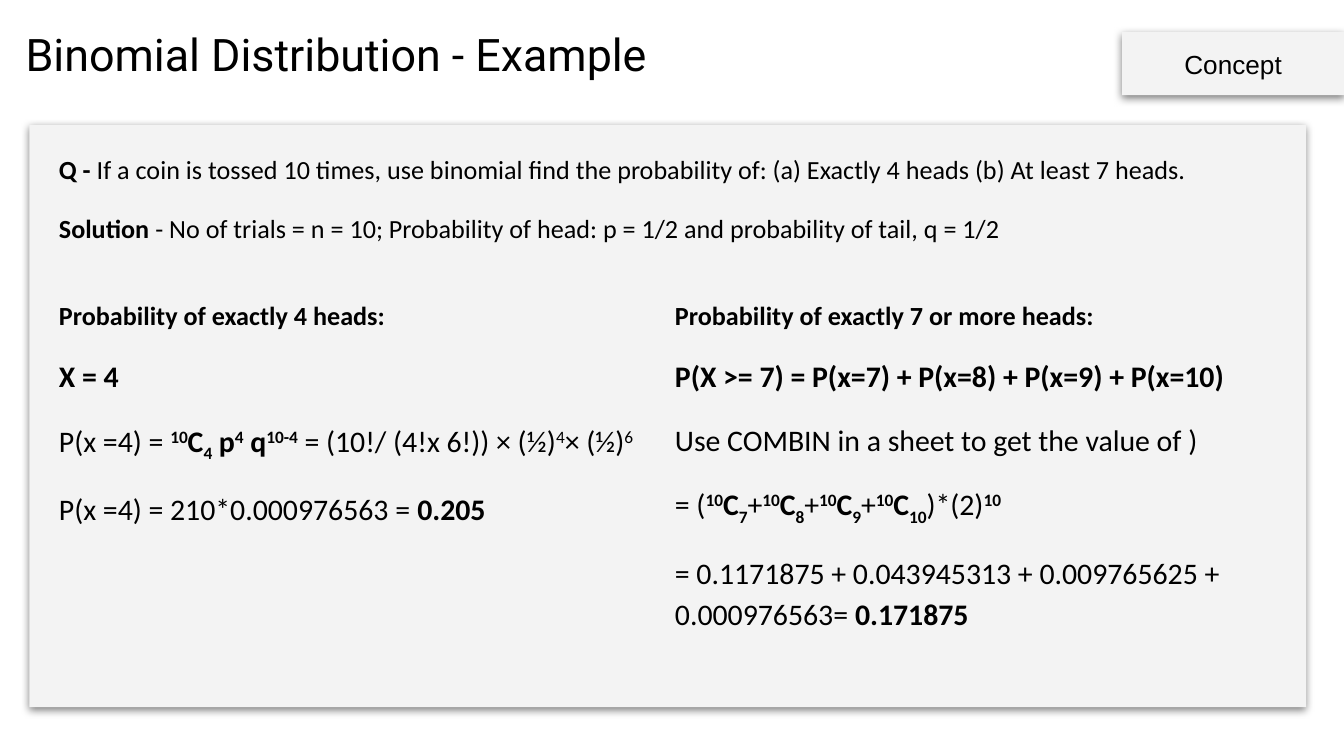
from lxml import etree
from pptx import Presentation
from pptx.dml.color import RGBColor
from pptx.enum.shapes import MSO_SHAPE
from pptx.enum.text import MSO_ANCHOR, MSO_AUTO_SIZE, PP_ALIGN
from pptx.oxml.ns import qn
from pptx.util import Pt

RECTANGLE = MSO_SHAPE.RECTANGLE
TOP, MIDDLE, BOTTOM = MSO_ANCHOR.TOP, MSO_ANCHOR.MIDDLE, MSO_ANCHOR.BOTTOM
LEFT, CENTER = PP_ALIGN.LEFT, PP_ALIGN.CENTER
NO_AUTOFIT = MSO_AUTO_SIZE.NONE
TITLE_ONLY = 5

COLORS = {"text": "000000", "panel": "F3F3F3", "shadow": "000000"}
INSET = 7.2
BASELINES = {"^": "30000", "_": "-25000"}


def choose(k):
    """Runs for the number of ways to pick k out of 10."""
    return [("10", "b^"), ("C", "b"), (str(k), "b_")]


def add_shadow(shape):
    shape.shadow.inherit = False
    effects = shape._element.spPr.find(qn("a:effectLst"))
    outer = etree.SubElement(effects, qn("a:outerShdw"), blurRad=str(Pt(4.5)),
                             dist=str(Pt(1.5)), dir="5400000", algn="bl", rotWithShape="0")
    color = etree.SubElement(outer, qn("a:srgbClr"), val=COLORS["shadow"])
    etree.SubElement(color, qn("a:alpha"), val="50000")


def add_panel(slide, left, top, width, height):
    panel = slide.shapes.add_shape(RECTANGLE, Pt(left), Pt(top), Pt(width), Pt(height))
    panel.fill.solid()
    panel.fill.fore_color.rgb = RGBColor.from_string(COLORS["panel"])
    panel.line.fill.background()
    add_shadow(panel)
    return panel


def write_text(shape, paragraphs, *, font, size, first_size=None, align=LEFT,
               anchor=TOP, line_spacing=None, gap=0):
    """Write paragraphs of (text, marks) runs: b bold, ^ superscript, _ subscript."""
    frame = shape.text_frame
    frame.word_wrap = True
    frame.auto_size = NO_AUTOFIT
    frame.vertical_anchor = anchor
    frame.margin_left = frame.margin_right = Pt(INSET)
    frame.margin_top = frame.margin_bottom = Pt(INSET)
    for index, runs in enumerate(paragraphs):
        paragraph = frame.add_paragraph() if index else frame.paragraphs[0]
        paragraph.alignment = align
        if line_spacing:
            paragraph.line_spacing = line_spacing
        if index:
            paragraph.space_before = Pt(gap)
        for text, marks in runs:
            run = paragraph.add_run()
            run.text = text
            run.font.name = font
            run.font.size = Pt(size if index or not first_size else first_size)
            run.font.bold = "b" in marks
            run.font.color.rgb = RGBColor.from_string(COLORS["text"])
            for mark, baseline in BASELINES.items():
                if mark in marks:
                    run.font._element.set("baseline", baseline)


def add_body(slide, left, top, width, height, paragraphs, size, first_size=None):
    body = slide.shapes.add_textbox(Pt(left), Pt(top), Pt(width), Pt(height))
    write_text(body, paragraphs, font="Calibri", size=size, first_size=first_size,
               line_spacing=1.15, gap=12)


def main():
    prs = Presentation()
    prs.slide_width, prs.slide_height = Pt(720), Pt(405)
    slide = prs.slides.add_slide(prs.slide_layouts[TITLE_ONLY])

    # Title
    title = slide.shapes.title
    title.left, title.top, title.width, title.height = Pt(6.5), Pt(5), Pt(414), Pt(45.4)
    write_text(title, [[("Binomial Distribution - Example", "")]],
               font="Roboto", size=24, anchor=BOTTOM)

    # Tag at the right edge and background panel
    tag = add_panel(slide, 601.2, 17.3, 118.8, 33.8)
    write_text(tag, [[("Concept", "")]], font="Arial", size=14, align=CENTER, anchor=MIDDLE)
    add_panel(slide, 15.8, 67, 684, 311.8)

    # Question and given values
    add_body(slide, 24.5, 72.7, 668, 65.5, [
        [("Q - ", "b"), ("If a coin is tossed 10 times, use binomial find the probability of: "
                         "(a) Exactly 4 heads (b) At least 7 heads.", "")],
        [("Solution", "b"), (" - No of trials = n = 10; Probability of head: p = 1/2 "
                             "and probability of tail, q = 1/2", "")],
    ], size=14)

    # Two worked answers, side by side
    exactly_four = [
        [("Probability of exactly 4 heads:", "b")],
        [("X = 4", "b")],
        [("P(x =4) = ", ""), *choose(4), (" p", "b"), ("4", "b^"), (" q", "b"), ("10-4", "b^"),
         (" = (10!/ (4!x 6!)) × (½)", ""), ("4", "^"), ("× (½)", ""), ("6", "^")],
        [("P(x =4) = 210*0.000976563 = ", ""), ("0.205", "b")],
    ]
    plus = ("+", "")
    seven_or_more = [
        [("Probability of exactly 7 or more heads:", "b")],
        [("P(X >= 7) = P(x=7) + P(x=8) + P(x=9) + P(x=10)", "b")],
        [("Use COMBIN in a sheet to get the value of )", "")],
        [("= (", ""), *choose(7), plus, *choose(8), plus, *choose(9), plus, *choose(10),
         (")*(2)", ""), ("10", "b^")],
        [("= 0.1171875 + 0.043945313 + 0.009765625 + 0.000976563= ", ""), ("0.171875", "b")],
    ]
    for left, answer in ((24.5, exactly_four), (354.5, seven_or_more)):
        add_body(slide, left, 150.5, 331, 143.3, answer, size=16, first_size=14)

    prs.save("out.pptx")


if __name__ == "__main__":
    main()
